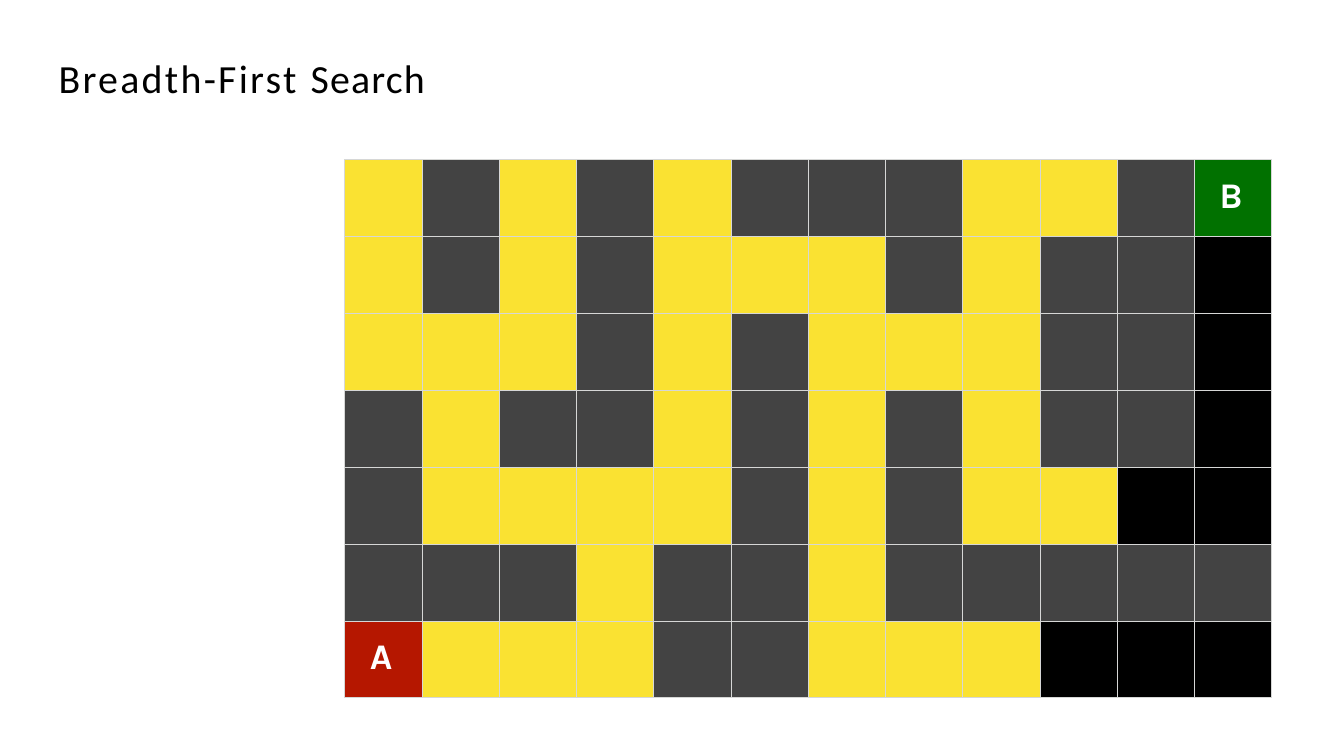
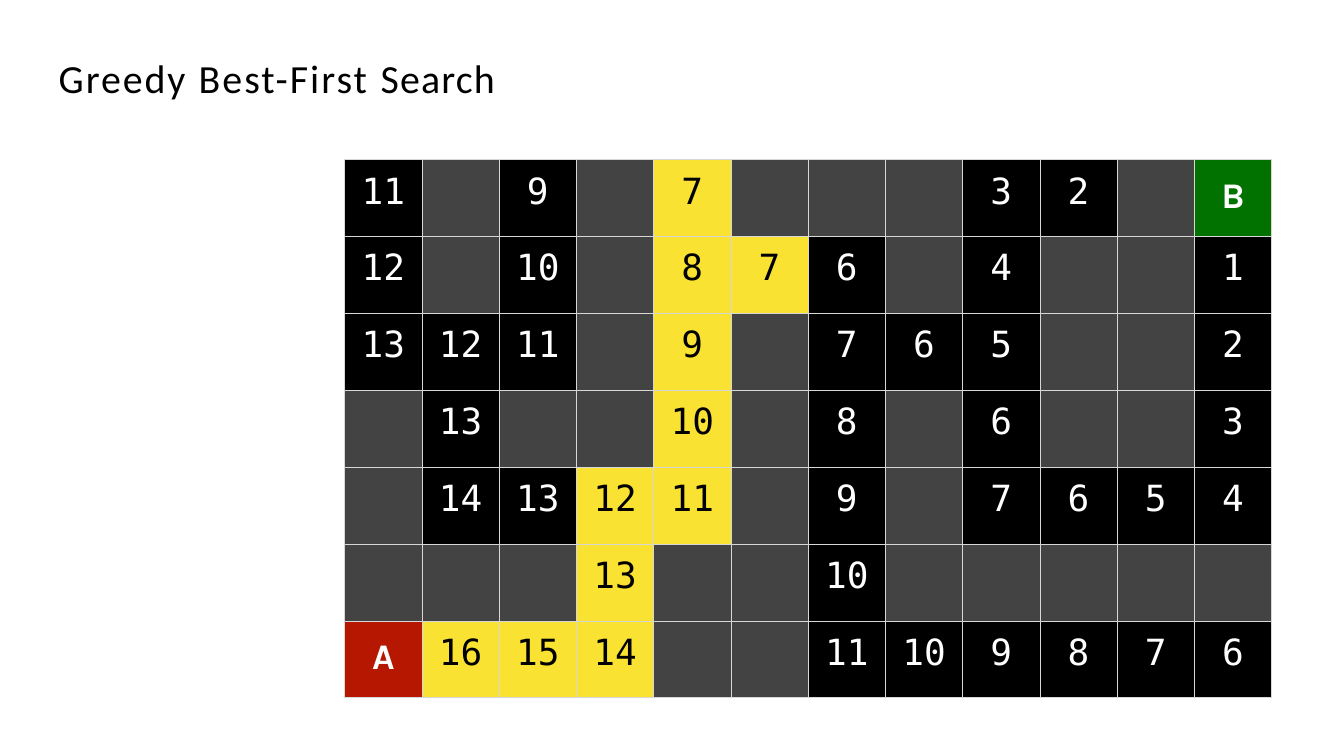
from lxml import etree
from pptx import Presentation
from pptx.dml.color import RGBColor
from pptx.enum.text import MSO_ANCHOR, MSO_AUTO_SIZE, PP_ALIGN
from pptx.oxml.ns import qn
from pptx.util import Inches, Pt

SLIDE_WIDTH, SLIDE_HEIGHT = 21.99, 12.37
GRID_LEFT, GRID_TOP = 5.64, 2.61
GRID_WIDTH, GRID_HEIGHT = 15.17, 8.81
TITLE_LEFT, TITLE_TOP, TITLE_HEIGHT = 0.96, 0.86, 0.81

COLOURS = {
    "open": "000000",
    "wall": "434343",
    "explored": "FAE232",
    "start": "B51700",
    "goal": "017100",
    "border": "D6D7D6",
    "light": "FFFFFF",
    "dark": "000000",
}
SQUARES = {".": "open", "#": "wall", "x": "explored", "A": "start", "B": "goal"}

TITLE_FONT = {"name": "Calibri", "size": Pt(47), "bold": False}
MARKER_FONT = {"name": "Karla", "size": Pt(42.5), "bold": True}
NUMBER_FONT = {"name": "DejaVu Sans Mono", "size": Pt(42.5), "bold": False}

BREADTH_FIRST = [
    "x#x#x###xx#B",
    "x#x#xxx#x##.",
    "xxx#x#xxx##.",
    "#x##x#x#x##.",
    "#xxxx#x#xx..",
    "###x##x#####",
    "Axxx##xxx...",
]
GREEDY = [
    ".#.#x###..#B",
    ".#.#xx.#.##.",
    "...#x#...##.",
    "#.##x#.#.##.",
    "#..xx#.#....",
    "###x##.#####",
    "Axxx##......",
]


def colour(name):
    return RGBColor.from_string(COLOURS[name])


def format_span(span, font, colour_name):
    for key, value in font.items():
        setattr(span.font, key, value)
    span.font.color.rgb = colour(colour_name)


def add_title(page, width, pieces):
    """Fill the title with pieces of (text, letter spacing in points)."""
    box = page.shapes.title
    place = {"left": TITLE_LEFT, "top": TITLE_TOP, "width": width, "height": TITLE_HEIGHT}
    for key, value in place.items():
        setattr(box, key, Inches(value))
    frame = box.text_frame
    settings = {
        "margin_left": 0, "margin_right": 0, "margin_bottom": 0,
        "margin_top": Inches(0.01), "word_wrap": True,
        "vertical_anchor": MSO_ANCHOR.MIDDLE,
        "auto_size": MSO_AUTO_SIZE.SHAPE_TO_FIT_TEXT,
    }
    for key, value in settings.items():
        setattr(frame, key, value)
    para = frame.paragraphs[0]
    para.alignment = PP_ALIGN.LEFT
    for text, spacing in pieces:
        span = para.add_run()
        span.text = text
        format_span(span, TITLE_FONT, "dark")
        span.font._element.set("spc", str(round(spacing * 100)))


def add_borders(cell):
    properties = cell._tc.get_or_add_tcPr()
    for index, side in enumerate(("a:lnL", "a:lnR", "a:lnT", "a:lnB")):
        line = etree.Element(qn(side), w=str(Pt(1)))
        fill = etree.SubElement(line, qn("a:solidFill"))
        etree.SubElement(fill, qn("a:srgbClr"), val=COLOURS["border"])
        properties.insert(index, line)


def write_square(cell, text, font, colour_name, top, indent):
    """Write centred text, or left-aligned text where an indent is given."""
    cell.margin_top = Inches(top)
    para = cell.text_frame.paragraphs[0]
    para.alignment = PP_ALIGN.LEFT if indent else PP_ALIGN.CENTER
    if indent:
        para._p.get_or_add_pPr().set("marL", str(Inches(indent)))
    span = para.add_run()
    span.text = text
    format_span(span, font, colour_name)


def add_maze(page, maze, show_distances=False, marker_indent=0):
    """Draw the maze; distances count the rows and columns to the top right goal."""
    rows, columns = len(maze), len(maze[0])
    table = page.shapes.add_table(
        rows, columns, Inches(GRID_LEFT), Inches(GRID_TOP),
        Inches(GRID_WIDTH), Inches(GRID_HEIGHT)).table
    table.first_row = table.horz_banding = False
    for row, line in enumerate(maze):
        for column, symbol in enumerate(line):
            cell = table.cell(row, column)
            for side in ("left", "right", "top", "bottom"):
                setattr(cell, f"margin_{side}", 0)
            cell.fill.solid()
            cell.fill.fore_color.rgb = colour(SQUARES[symbol])
            add_borders(cell)
            if symbol in "AB":
                write_square(cell, symbol, MARKER_FONT, "light", 0.26, marker_indent)
            elif show_distances and symbol != "#":
                distance = row + columns - 1 - column
                ink = "dark" if symbol == "x" else "light"
                write_square(cell, str(distance), NUMBER_FONT, ink, 0.18, 0)


def main():
    deck = Presentation()
    deck.slide_width, deck.slide_height = Inches(SLIDE_WIDTH), Inches(SLIDE_HEIGHT)
    title_only = deck.slide_layouts.get_by_name("Title Only")

    page = deck.slides.add_slide(title_only)
    add_title(page, 6.68, [("Breadth-First ", 2.7), ("Search", 1.4)])
    add_maze(page, BREADTH_FIRST, marker_indent=0.41)

    page = deck.slides.add_slide(title_only)
    add_title(page, 8.07, [("Greedy ", 2.3), ("Best-First ", 2.4), ("Search", 1.4)])
    add_maze(page, GREEDY, show_distances=True)

    deck.save("out.pptx")


if __name__ == "__main__":
    main()
